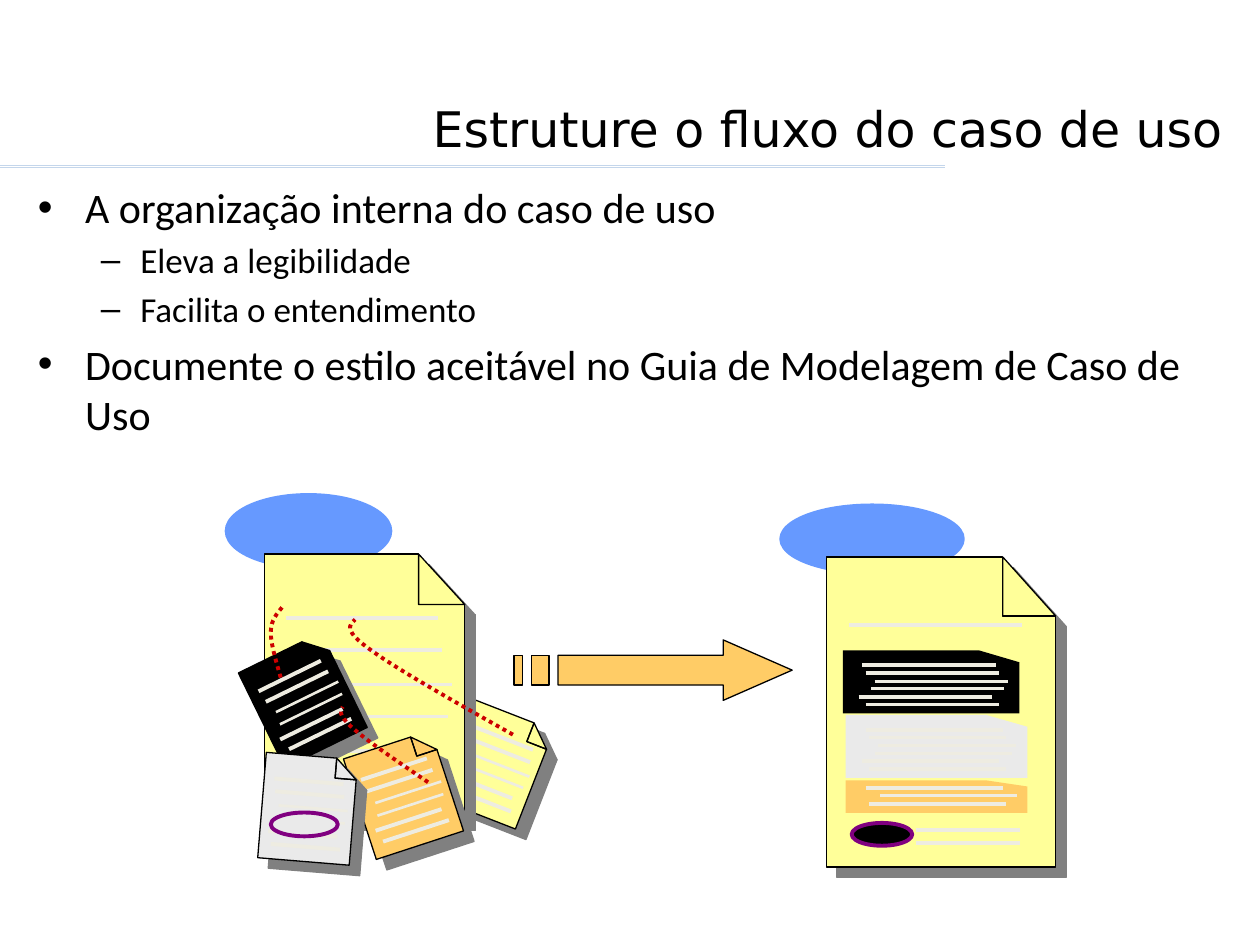
from math import cos, radians, sin

from lxml import etree
from pptx import Presentation
from pptx.dml.color import RGBColor
from pptx.enum.dml import MSO_LINE
from pptx.enum.shapes import MSO_CONNECTOR, MSO_SHAPE
from pptx.enum.text import MSO_ANCHOR, PP_ALIGN
from pptx.oxml.ns import qn
from pptx.util import Cm, Pt

OVAL = MSO_SHAPE.OVAL
LINE = MSO_CONNECTOR.STRAIGHT
DOTS = MSO_LINE.ROUND_DOT
RIGHT = PP_ALIGN.RIGHT
BOTTOM, TOP = MSO_ANCHOR.BOTTOM, MSO_ANCHOR.TOP

BLACK, BLUE, YELLOW, ORANGE = "000000", "6699FF", "FFFF99", "FFCC66"
GRAY, CHALK, SHADE = "EAEAEA", "EEECE1", "808080"
PURPLE, RED, PALE = "800080", "CC0000", "C4D6EB"

SPAN = 0.755
STRIPES = [(0.11, 0.24, 2.25), (0.13, 0.36, 2.25), (0.13, 0.86, 2.25),
           (0.18, 0.49, 1.5), (0.16, 0.61, 1.5), (0.09, 0.74, 2.25)]
BRIEF = [(0.11, 0.23, 2.25), (0.13, 0.73, 2.25), (0.19, 0.46, 1.5)]
SHEET = [[(0, 0), (0.77, 0), (0.77, 0.19), (1, 0.19), (1, 1), (0, 1)],
         [(0.77, 0), (1, 0.19), (0.77, 0.19)]]
ARROW = [[(4.22, 0), (4.22, 0.31), (0.89, 0.31), (0.89, 0.91),
          (4.22, 0.91), (4.22, 1.22), (5.61, 0.61)],
         [(0.36, 0.31), (0.71, 0.31), (0.71, 0.91), (0.36, 0.91)],
         [(0, 0.31), (0.18, 0.31), (0.18, 0.91), (0, 0.91)]]
TRAILS = [
    [(5.77, 4.83), (4.6, 4.17), (3.43, 3.51), (2.9, 3.12),
     (2.36, 2.74), (2.46, 2.62), (2.59, 2.51)],
    [(4.06, 5.79), (3.43, 5.36), (2.79, 4.93), (2.51, 4.67),
     (2.24, 4.42), (2.29, 4.34), (2.34, 4.27)],
    [(1.09, 3.68), (0.99, 3.33), (0.89, 3), (0.89, 2.77),
     (0.89, 2.51), (1.02, 2.39), (1.12, 2.26)]]


def tint(code):
    """Turn a hex string into a colour."""
    return RGBColor.from_string(code)


def apply(item, values):
    """Set each named attribute of an item."""
    for name, value in values.items():
        setattr(item, name, value)


def paint(shape, fill, line, width):
    """Give a shape its fill and line, without a shadow."""
    shape.shadow.inherit = False
    if fill:
        shape.fill.solid()
        shape.fill.fore_color.rgb = tint(fill)
    else:
        shape.fill.background()
    if line:
        shape.line.color.rgb = tint(line)
        shape.line.width = Pt(width)
    else:
        shape.line.fill.background()


def shift(box, points):
    """Move points in centimetres to the corner of a box."""
    return [(Cm(box[0] + x), Cm(box[1] + y)) for x, y in points]


def inner(box, x, y, wide, high):
    """Return a box placed relative to an outer box."""
    return box[0] + x, box[1] + y, wide, high


def outline(slide, box, parts, close=True):
    """Draw one freeform from a list of outlines."""
    first, *rest = [shift(box, part) for part in parts]
    maker = slide.shapes.build_freeform(*first[0])
    maker.add_line_segments(first[1:], close=close)
    for part in rest:
        maker.move_to(*part[0])
        maker.add_line_segments(part[1:], close=close)
    return maker.convert_to_shape()


def rule(slide, start, end, color, width):
    """Draw a straight line between two points."""
    ends = [Cm(value) for value in (*start, *end)]
    link = slide.shapes.add_connector(LINE, *ends)
    link.line.color.rgb = tint(color)
    link.line.width = Pt(width)
    etree.SubElement(link._element.spPr, qn("a:effectLst"))


def oval(slide, box, fill, line):
    """Draw an ellipse in a box."""
    shape = slide.shapes.add_shape(OVAL, *[Cm(value) for value in box])
    paint(shape, fill, line, 2.25)


def shade(shape):
    """Cast a hard shadow to the lower right."""
    effects = shape._element.spPr.find(qn("a:effectLst"))
    cast = etree.SubElement(effects, qn("a:outerShdw"), dist=str(Pt(8.5)),
                            dir="2700000", algn="ctr", rotWithShape="0")
    etree.SubElement(cast, qn("a:srgbClr"), val=SHADE)


def page(slide, box, fill, angle=0, stripes=STRIPES, line=BLACK):
    """Draw a sheet with a folded corner and stripes of writing."""
    left, top, wide, high = box
    parts = [[(x * wide, y * high) for x, y in part] for part in SHEET]
    shape = outline(slide, box, parts)
    paint(shape, fill, line, 0.75)
    shape.rotation = angle
    if line:
        shade(shape)
    turn = radians(angle)

    def spot(x, y):
        """Turn a relative point about the middle of the sheet."""
        across, down = (x - 0.5) * wide, (y - 0.5) * high
        return (left + wide / 2 + across * cos(turn) - down * sin(turn),
                top + high / 2 + across * sin(turn) + down * cos(turn))

    for x, y, width in stripes:
        rule(slide, spot(x, y), spot(x + SPAN, y), CHALK, width)


def trail(slide, box, points):
    """Draw a dotted curve of two Bézier segments."""
    shape = outline(slide, box, [points], close=False)
    paint(shape, None, RED, 2.25)
    shape.line.dash_style = DOTS
    track = next(shape._element.iter(qn("a:path")))
    steps = list(track)[1:]
    for group in (steps[:3], steps[3:]):
        curve = etree.SubElement(track, qn("a:cubicBezTo"))
        for step in group:
            curve.append(step[0])
            track.remove(step)


def mess(slide, box):
    """Draw the use case with scattered pages."""
    oval(slide, inner(box, 0, 0, 3.3, 1.45), BLUE, BLUE)
    slip = 1.85, 2.13
    page(slide, inner(box, 4.42, 4.34, *slip), YELLOW, 21.3)
    page(slide, inner(box, 0.76, 1.19, 4.04, 5.36), YELLOW)
    page(slide, inner(box, 0.61, 3.07, *slip), BLACK, -26.1)
    page(slide, inner(box, 2.64, 4.98, *slip), ORANGE, -18.1)
    for points in TRAILS:
        trail(slide, box, points)
    page(slide, inner(box, 0.71, 5.26, *slip), GRAY, 4.7)
    oval(slide, inner(box, 0.89, 6.4, 1.35, 0.48), GRAY, PURPLE)


def tidy(slide, box):
    """Draw the use case with its parts in order."""
    oval(slide, inner(box, 0, 0, 3.66, 1.35), BLUE, BLUE)
    page(slide, inner(box, 0.91, 1.04, 4.62, 6.25), YELLOW,
         stripes=[(0.1, 0.22, 2.25)])
    page(slide, inner(box, 1.24, 2.92, 3.56, 1.27), BLACK, line=None)
    page(slide, inner(box, 1.3, 4.22, 3.66, 1.27), GRAY, line=None)
    page(slide, inner(box, 1.3, 5.54, 3.66, 0.66), ORANGE,
         stripes=BRIEF, line=None)
    oval(slide, inner(box, 1.42, 6.4, 1.22, 0.46), BLACK, PURPLE)
    for down in (6.55, 6.81):
        x, y = box[0] + 2.72, box[1] + down
        rule(slide, (x, y), (x + 2.1, y), CHALK, 2.25)


def fill_in(holder, box, rows, face, anchor, align=None):
    """Place a placeholder and write its rows of text, level and size."""
    names = ("left", "top", "width", "height")
    apply(holder, dict(zip(names, [Cm(value) for value in box])))
    frame = holder.text_frame
    apply(frame, {"word_wrap": True, "vertical_anchor": anchor})
    for at, (text, level, size) in enumerate(rows):
        para = frame.add_paragraph() if at else frame.paragraphs[0]
        apply(para, {"level": level, "alignment": align})
        if not at:
            para.space_before = Pt(0)
        run = para.add_run()
        run.text = text
        apply(run.font, {"name": face, "size": Pt(size)})
        run.font.color.rgb = tint(BLACK)


def main():
    """Build and save the slide."""
    deck = Presentation()
    apply(deck, {"slide_width": Cm(25.4), "slide_height": Cm(19.05)})
    slide = deck.slides.add_slide(deck.slide_layouts[1])
    for y in (3.38, 3.33):
        rule(slide, (0, y), (19.05, y), PALE, 0.75)
    fill_in(slide.shapes.title, (0.46, 0.71, 24.43, 2.59),
            [("Estruture o fluxo do caso de uso", 0, 28)],
            "DejaVu Sans", BOTTOM, RIGHT)
    fill_in(slide.placeholders[1], (0.51, 3.53, 24.41, 14.99),
            [("A organização interna do caso de uso", 0, 24),
             ("Eleva a legibilidade", 1, 20),
             ("Facilita o entendimento", 1, 20),
             ("Documente o estilo aceitável no Guia de Modelagem "
              "de Caso de Uso", 0, 24)], "Calibri", TOP)
    paint(outline(slide, (10.36, 12.9), ARROW), ORANGE, BLACK, 0.75)
    mess(slide, (4.57, 9.98))
    tidy(slide, (15.75, 10.19))
    deck.save("out.pptx")


if __name__ == "__main__":
    main()
